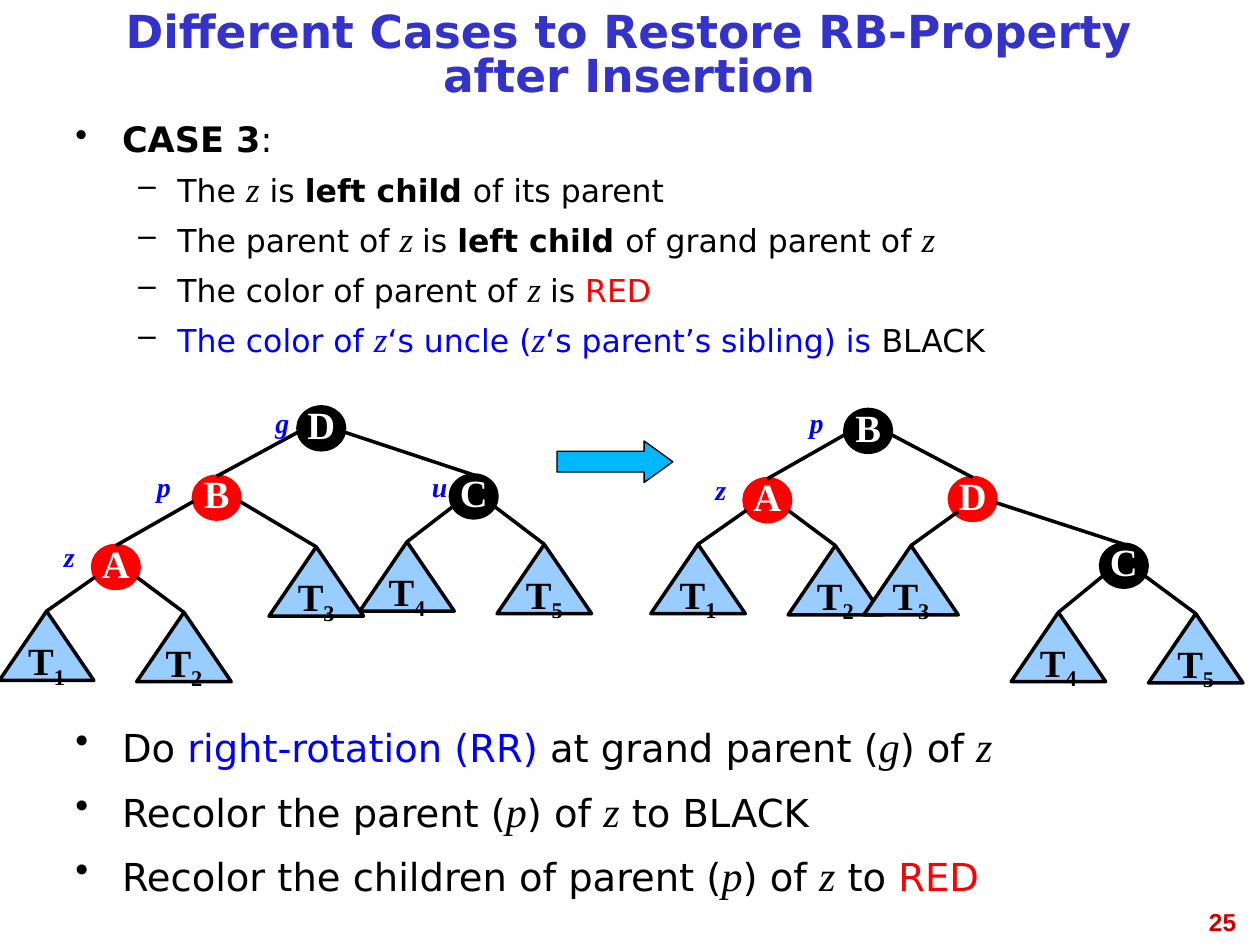
from lxml.etree import SubElement
from pptx import Presentation
from pptx.dml.color import RGBColor
from pptx.enum.shapes import MSO_CONNECTOR as Line, MSO_SHAPE as Shape
from pptx.enum.text import MSO_ANCHOR as Anchor, PP_ALIGN as Align
from pptx.oxml.ns import qn
from pptx.util import Inches, Pt

THEME = {
    "sans": "DejaVu Sans", "serif": "Times New Roman", "number": "Arial",
    "black": "000000", "white": "FFFFFF", "red": "FF0000", "blue": "0000FF",
    "title": "3333CC", "page": "CC0000", "subtree": "99CCFF", "arrow": "00B8FF",
    "title_pt": 26, "case_pt": 20, "condition_pt": 18, "step_pt": 22,
    "node_pt": 22, "label_pt": 16, "page_pt": 14,
}

TITLE = "Different Cases to Restore RB-Property after Insertion"
PAGE = "25"

# Each run is (text, style words); "var" marks an italic variable name.
CASE = [("CASE 3", "bold"), (":", "")]
CONDITIONS = [
    [("The ", ""), ("z", "var"), (" is ", ""), ("left child ", "bold"),
     ("of its parent", "")],
    [("The parent of ", ""), ("z ", "var"), ("is ", ""), ("left child ", "bold"),
     ("of grand parent of ", ""), ("z", "var")],
    [("The color of parent of ", ""), ("z ", "var"), ("is ", ""), ("RED", "red")],
    [("The color of ", "blue"), ("z", "var blue"), ("‘s uncle (", "blue"),
     ("z", "var blue"), ("‘s parent’s sibling) is ", "blue"), ("BLACK", "")],
]
STEPS = [
    [("Do ", ""), ("right-rotation (RR)", "blue"), (" at grand parent (", ""),
     ("g", "var"), (") of ", ""), ("z", "var")],
    [("Recolor the parent (", ""), ("p", "var"), (") of ", ""), ("z", "var"),
     (" to BLACK", "")],
    [("Recolor the children of parent (", ""), ("p", "var"), (") of ", ""),
     ("z", "var"), (" to ", ""), ("RED", "red")],
]

# Where an edge leaves its parent: inset from the side, drop from the top
SIDE, LOW, INNER = (0, 0.2), (0.02, 0.25), (0.07, 0.27)

# nodes: centre x, top, colour; subtrees: apex x, top; labels: centre x, top
BEFORE = {
    "nodes": {"D": (2.55, 3.23, "black"), "B": (1.72, 3.78, "red"),
              "A": (0.92, 4.33, "red"), "C": (3.76, 3.77, "black")},
    "subtrees": {"1": (0.37, 4.85), "2": (1.46, 4.86), "4": (3.23, 4.3),
                 "5": (4.32, 4.32), "3": (2.51, 4.34)},
    "edges": [("D", "B", SIDE), ("D", "C", SIDE), ("B", "A", SIDE), ("B", "3", SIDE),
              ("A", "1", LOW), ("A", "2", LOW), ("C", "4", LOW), ("C", "5", LOW)],
    "labels": [("g", 2.24, 3.17), ("p", 1.3, 3.68), ("u", 3.49, 3.68), ("z", 0.55, 4.23)],
}
AFTER = {
    "nodes": {"B": (6.89, 3.25, "black"), "A": (6.09, 3.8, "red"),
              "D": (7.72, 3.79, "red"), "C": (8.92, 4.32, "black")},
    "subtrees": {"1": (5.54, 4.32), "2": (6.63, 4.33), "4": (8.4, 4.86),
                 "5": (9.49, 4.87), "3": (7.23, 4.33)},
    "edges": [("B", "A", SIDE), ("B", "D", SIDE), ("D", "C", SIDE), ("D", "3", INNER),
              ("A", "1", LOW), ("A", "2", LOW), ("C", "4", LOW), ("C", "5", LOW)],
    "labels": [("p", 6.48, 3.17), ("z", 5.72, 3.7)],
}
NODE_W, NODE_H = 0.37, 0.34
SUBTREE_W, SUBTREE_H = 0.75, 0.55
LABEL_W, LABEL_H = 0.75, 0.37


def color(name):
    return RGBColor.from_string(THEME[name])


def add_run(paragraph, text, size, face="sans", tint="black", bold=False, italic=False):
    run = paragraph.add_run()
    run.text = text
    font = run.font
    font.name, font.size = THEME[face], Pt(size)
    font.bold, font.italic = bold, italic
    font.color.rgb = color(tint)
    return run


def add_textbox(slide, left, top, width, height):
    box = slide.shapes.add_textbox(*map(Inches, (left, top, width, height)))
    box.text_frame.word_wrap = True
    return box.text_frame


def add_line_of_text(frame, text, size, align, **style):
    paragraph = frame.paragraphs[0]
    paragraph.alignment = align
    add_run(paragraph, text, size, **style)
    return paragraph


def add_bullet(frame, runs, size, mark="•", level=0, margin=0.37, hang=0.37,
               before=8, spacing=1.0):
    first = not frame.paragraphs[0].runs
    paragraph = frame.paragraphs[0] if first else frame.add_paragraph()
    paragraph.level, paragraph.alignment = level, Align.JUSTIFY
    paragraph.line_spacing = spacing
    paragraph.space_before = Pt(0 if first else before)
    props = paragraph._p.get_or_add_pPr()
    props.set("marL", str(Inches(margin)))
    props.set("indent", str(-Inches(hang)))
    tint = SubElement(props, qn("a:buClr"))
    SubElement(tint, qn("a:srgbClr")).set("val", THEME["black"])
    SubElement(props, qn("a:buChar")).set("char", mark)
    for text, style in runs:
        words = style.split()
        variable = "var" in words
        add_run(paragraph, text, size + 2 * variable,
                face="serif" if variable else "sans",
                tint=next((w for w in words if w in ("red", "blue")), "black"),
                bold="bold" in words, italic=variable)


def add_figure(slide, kind, left, top, width, height, fill, line, weight=2):
    figure = slide.shapes.add_shape(kind, *map(Inches, (left, top, width, height)))
    figure.shadow.inherit = False
    figure.fill.solid()
    figure.fill.fore_color.rgb = color(fill)
    figure.line.color.rgb = color(line)
    figure.line.width = Pt(weight)
    return figure


def add_caption(figure, text, tint, subscript=""):
    frame = figure.text_frame
    frame.word_wrap, frame.vertical_anchor = False, Anchor.MIDDLE
    style = {"face": "serif", "tint": tint, "bold": True}
    paragraph = add_line_of_text(frame, text, THEME["node_pt"], Align.CENTER, **style)
    paragraph.line_spacing = 0.81
    if subscript:
        run = add_run(paragraph, subscript, THEME["node_pt"], **style)
        run._r.get_or_add_rPr().set("baseline", "-25000")


def add_edge(slide, start, end):
    edge = slide.shapes.add_connector(Line.STRAIGHT, *map(Inches, (*start, *end)))
    edge.line.color.rgb = color("black")
    edge.line.width = Pt(2)
    SubElement(edge._element.spPr, qn("a:effectLst"))


def add_tree(slide, tree):
    nodes, subtrees = tree["nodes"], tree["subtrees"]
    for key, (x, top, fill) in nodes.items():
        node = add_figure(slide, Shape.OVAL, x - NODE_W / 2, top, NODE_W, NODE_H, fill, fill)
        add_caption(node, key, "white")
    for parent, child, (inset, drop) in tree["edges"]:
        x, top, _ = nodes[parent]
        end = (nodes.get(child) or subtrees[child])[:2]
        reach = NODE_W / 2 - inset
        add_edge(slide, (x + (reach if end[0] > x else -reach), top + drop), end)
    for number, (x, top) in subtrees.items():
        subtree = add_figure(slide, Shape.ISOSCELES_TRIANGLE, x - SUBTREE_W / 2, top,
                             SUBTREE_W, SUBTREE_H, "subtree", "black")
        add_caption(subtree, "T", "black", number)
    for text, x, top in tree["labels"]:
        frame = add_textbox(slide, x - LABEL_W / 2, top, LABEL_W, LABEL_H)
        add_line_of_text(frame, text, THEME["label_pt"], Align.CENTER,
                         face="serif", tint="blue", bold=True, italic=True)


def main():
    deck = Presentation()
    deck.slide_width, deck.slide_height = Inches(10), Inches(7.5)
    slide = deck.slides.add_slide(deck.slide_layouts[6])

    page = add_textbox(slide, 7.58, 7.15, 2.33, 0.52)
    add_line_of_text(page, PAGE, THEME["page_pt"], Align.RIGHT,
                     face="number", tint="page", bold=True)

    title = add_textbox(slide, 0.5, 0.08, 8.99, 0.75)
    title.vertical_anchor = Anchor.MIDDLE
    add_line_of_text(title, TITLE, THEME["title_pt"], Align.CENTER,
                     tint="title", bold=True).line_spacing = 0.81

    case = add_textbox(slide, 0.5, 0.92, 8.99, 2)
    add_bullet(case, CASE, THEME["case_pt"], spacing=0.9)
    for condition in CONDITIONS:
        add_bullet(case, condition, THEME["condition_pt"], mark="–", level=1,
                   margin=0.81, hang=0.31, before=7, spacing=0.9)

    steps = add_textbox(slide, 0.5, 5.67, 8.99, 1.58)
    for step in STEPS:
        add_bullet(steps, step, THEME["step_pt"])

    add_tree(slide, BEFORE)
    add_tree(slide, AFTER)
    arrow = add_figure(slide, Shape.RIGHT_ARROW, 4.42, 3.5, 0.92, 0.33, "arrow", "black", 0.75)
    arrow.adjustments[1] = 0.69
    deck.save("out.pptx")


if __name__ == "__main__":
    main()
